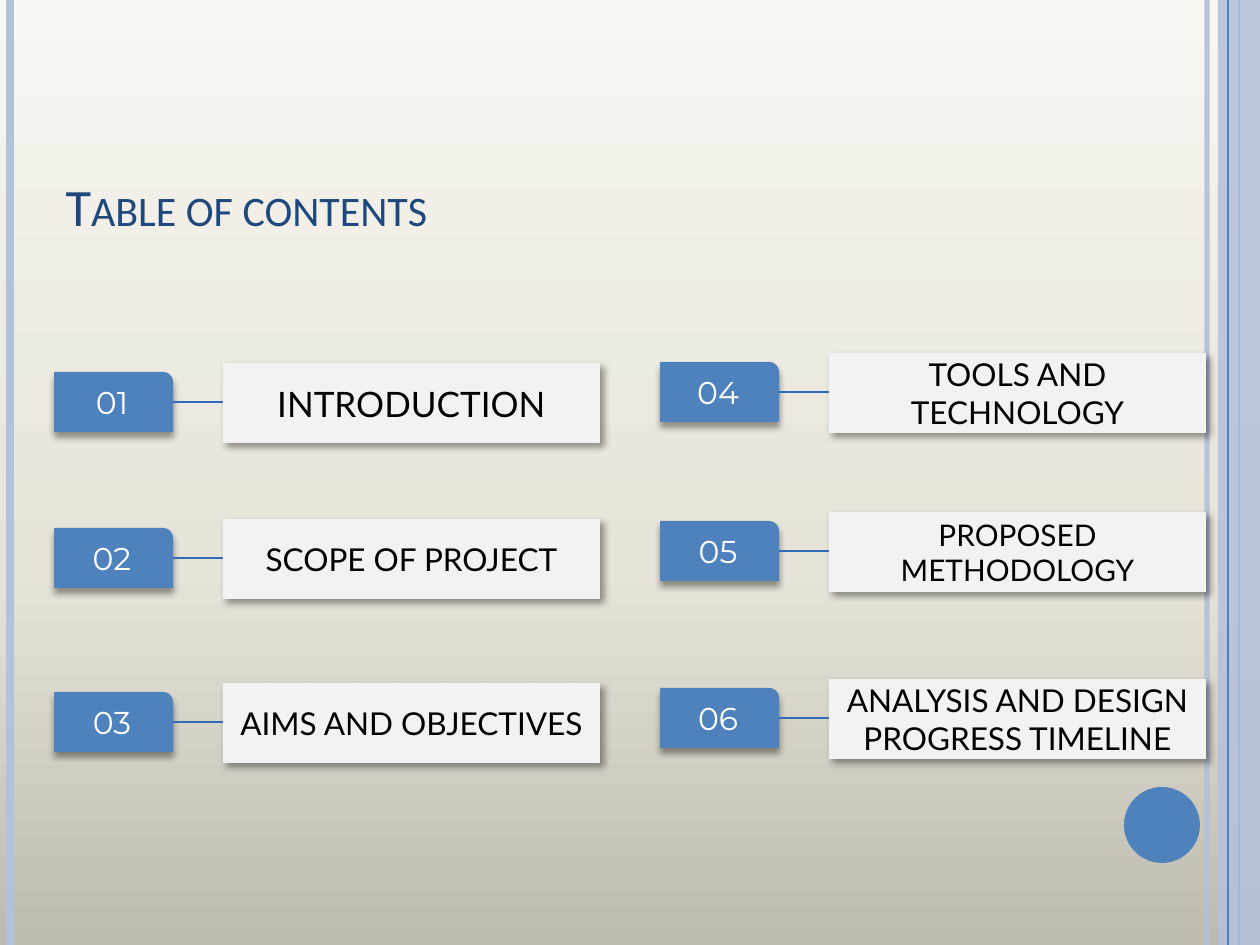
from lxml import etree
from pptx import Presentation
from pptx.dml.color import RGBColor
from pptx.enum.shapes import MSO_CONNECTOR, MSO_SHAPE
from pptx.enum.text import MSO_ANCHOR, MSO_AUTO_SIZE, PP_ALIGN
from pptx.oxml import parse_xml
from pptx.oxml.ns import nsdecls, qn
from pptx.util import Emu, Pt

RECTANGLE = MSO_SHAPE.RECTANGLE
TAG_SHAPE = MSO_SHAPE.ROUND_1_RECTANGLE
OVAL = MSO_SHAPE.OVAL
STRAIGHT = MSO_CONNECTOR.STRAIGHT
MIDDLE, BOTTOM = MSO_ANCHOR.MIDDLE, MSO_ANCHOR.BOTTOM
LEFT, CENTER = PP_ALIGN.LEFT, PP_ALIGN.CENTER

BLUE = RGBColor(0x4F, 0x81, 0xBD)
PALE_BLUE = RGBColor(0xB3, 0xC1, 0xDB)
LINK_BLUE = RGBColor(0x2C, 0x6C, 0xB9)
NAVY = RGBColor(0x1F, 0x49, 0x7D)
LIGHT_GRAY = RGBColor(0xF2, 0xF2, 0xF2)
WHITE = RGBColor(0xFF, 0xFF, 0xFF)
BLACK = RGBColor(0, 0, 0)
BACKGROUND_STOPS = [
    (0, RGBColor(0xBD, 0xBB, 0xB0)),
    (40, RGBColor(0xE6, 0xE4, 0xD9)),
    (100, RGBColor(0xF7, 0xF6, 0xF1)),
]

SLIDE_WIDTH, SLIDE_HEIGHT = 1260, 945
TAG_WIDTH, TAG_HEIGHT = 119, 60
BOX_OFFSET, BOX_WIDTH, BOX_HEIGHT = 169, 377, 80

# Column left edge, then row centre, label and label size
COLUMNS = [
    (54, [(402, "INTRODUCTION", 20),
          (558, "SCOPE OF PROJECT", 18),
          (722, "AIMS AND OBJECTIVES", 18)]),
    (660, [(392, "TOOLS AND TECHNOLOGY", 18),
           (551, "PROPOSED METHODOLOGY", 17),
           (718, "ANALYSIS AND DESIGN PROGRESS TIMELINE", 18)]),
]


def px(length):
    return Emu(round(length * 914400 / 126))


def set_alpha(fill_parent, percent):
    color = fill_parent.find(".//" + qn("a:srgbClr"))
    etree.SubElement(color, qn("a:alpha")).set("val", str(percent * 1000))


def set_background(slide):
    slide.background.fill.solid()
    properties = slide.element.find(".//" + qn("p:bgPr"))
    stops = "".join(
        f'<a:gs pos="{position * 1000}"><a:srgbClr val="{color}"/></a:gs>'
        for position, color in BACKGROUND_STOPS)
    gradient = parse_xml(
        f'<a:gradFill {nsdecls("a")} rotWithShape="1"><a:gsLst>{stops}</a:gsLst>'
        '<a:lin ang="16200000" scaled="0"/></a:gradFill>')
    properties.replace(properties.find(qn("a:solidFill")), gradient)


def add_line(slide, start, end, color, width):
    line = slide.shapes.add_connector(STRAIGHT, *map(px, start + end))
    line.line.color.rgb = color
    line.line.width = Pt(width)
    etree.SubElement(line._element.spPr, qn("a:effectLst"))
    return line


def add_block(slide, kind, left, top, width, height, color):
    shape = slide.shapes.add_shape(kind, *map(px, (left, top, width, height)))
    shape.shadow.inherit = False
    shape.fill.solid()
    shape.fill.fore_color.rgb = color
    shape.line.fill.background()
    return shape


def add_shadow(shape, angle):
    effects = shape._element.spPr.find(qn("a:effectLst"))
    effects.append(parse_xml(
        f'<a:outerShdw {nsdecls("a")} blurRad="{Pt(4)}" dist="{Pt(3)}" '
        f'dir="{angle * 60000}" algn="tl" rotWithShape="0">'
        '<a:srgbClr val="000000"><a:alpha val="40000"/></a:srgbClr></a:outerShdw>'))


def set_text(shape, text, font_name, size, color, alignment=CENTER, anchor=MIDDLE):
    frame = shape.text_frame
    frame.word_wrap = True
    frame.auto_size = MSO_AUTO_SIZE.NONE
    frame.vertical_anchor = anchor
    paragraph = frame.paragraphs[0]
    paragraph.text = text
    paragraph.alignment = alignment
    paragraph.font.name = font_name
    paragraph.font.size = Pt(size)
    paragraph.font.color.rgb = color
    return paragraph


def add_vertical_rule(slide, x, color, width):
    return add_line(slide, (x, 0), (x, SLIDE_HEIGHT), color, width)


def add_decoration(slide):
    right_rule = add_vertical_rule(slide, 1207, PALE_BLUE, 3)
    set_alpha(right_rule._element.spPr, 93)
    add_vertical_rule(slide, 10, PALE_BLUE, 4.5)
    add_vertical_rule(slide, 1239, BLUE, 1.5)
    band = add_block(slide, RECTANGLE, 1218, 0, 42, SLIDE_HEIGHT, PALE_BLUE)
    set_alpha(band._element.spPr, 87)
    add_vertical_rule(slide, 1228, BLUE, 0.75)
    add_block(slide, OVAL, 1124, 787, 76, 76, BLUE)


def format_title(slide):
    title = slide.shapes.title
    title.left, title.top, title.width, title.height = map(px, (53, 86, 1029, 157))
    paragraph = set_text(title, "Table of contents", "Calibri", 30, NAVY, LEFT, BOTTOM)
    paragraph.runs[0]._r.get_or_add_rPr().set("cap", "small")


def add_entry(slide, left, center, number, label, size):
    tag = add_block(slide, TAG_SHAPE, left, center - TAG_HEIGHT // 2,
                    TAG_WIDTH, TAG_HEIGHT, BLUE)
    add_shadow(tag, 90)
    set_text(tag, f"{number:02}", "Montserrat", 18, WHITE)

    box_left = left + BOX_OFFSET
    add_line(slide, (left + TAG_WIDTH, center), (box_left, center), LINK_BLUE, 1)

    box = add_block(slide, RECTANGLE, box_left, center - BOX_HEIGHT // 2 + 1,
                    BOX_WIDTH, BOX_HEIGHT, LIGHT_GRAY)
    add_shadow(box, 45)
    set_text(box, label, "Lato", size, BLACK)


def main():
    presentation = Presentation()
    presentation.slide_width = px(SLIDE_WIDTH)
    presentation.slide_height = px(SLIDE_HEIGHT)
    slide = presentation.slides.add_slide(presentation.slide_layouts[5])

    # Backdrop and title
    set_background(slide)
    add_decoration(slide)
    format_title(slide)

    # Numbered entries, column by column
    number = 1
    for left, entries in COLUMNS:
        for center, label, size in entries:
            add_entry(slide, left, center, number, label, size)
            number += 1

    presentation.save("out.pptx")


if __name__ == "__main__":
    main()
